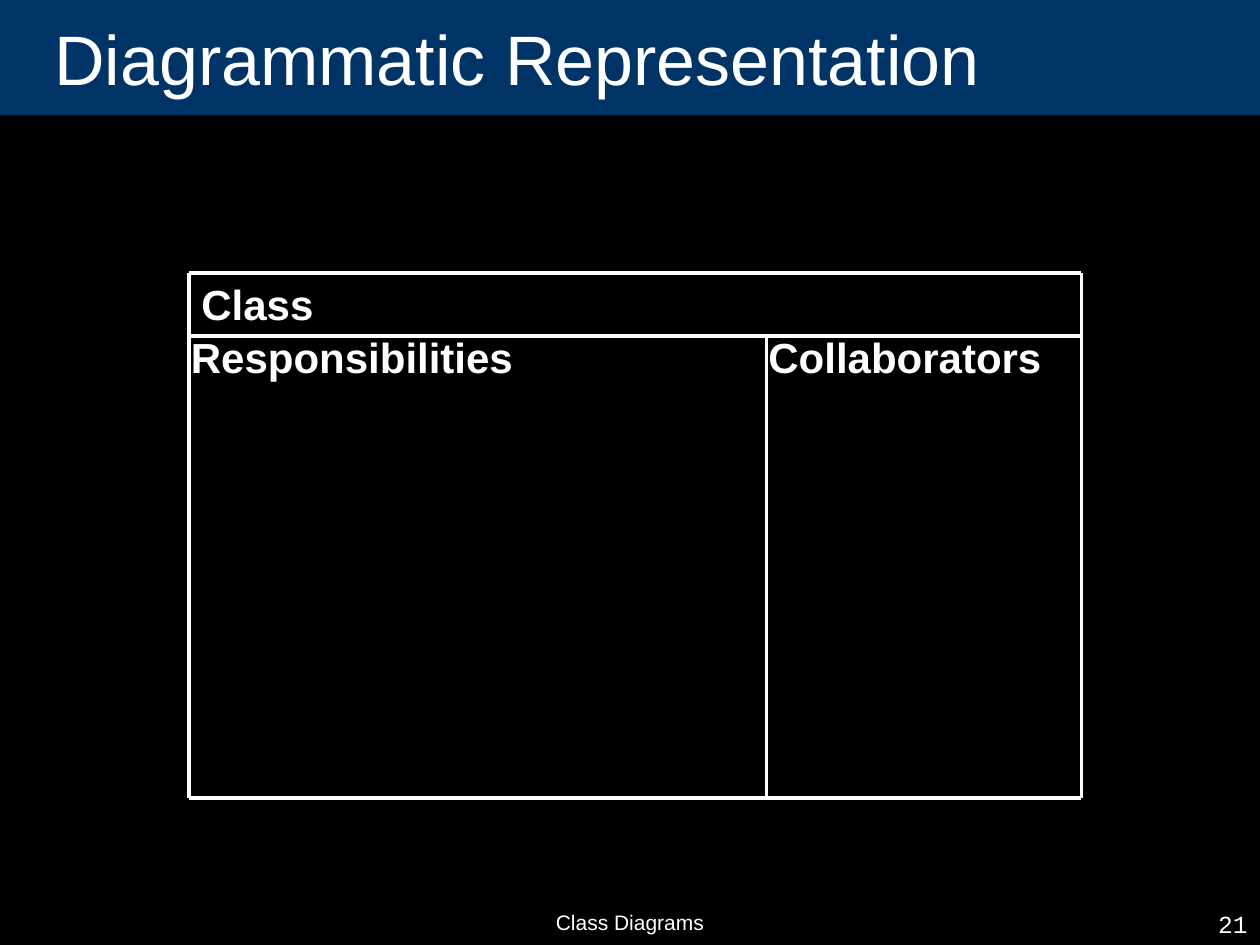
"""Build a slide showing the layout of a class, responsibilities and collaborators card."""
import dataclasses

import lxml.etree
import pptx
import pptx.dml.color
import pptx.enum.shapes
import pptx.enum.text
import pptx.oxml.ns
import pptx.slide
import pptx.util

Align = pptx.enum.text.PP_ALIGN
Anchor = pptx.enum.text.MSO_ANCHOR
WHITE = "FFFFFF"
BLACK = "000000"
NAVY = "003366"
SLIDE_WIDTH, SLIDE_HEIGHT = 720, 540
BANNER_HEIGHT = 66
CARD_LEFT, CARD_DIVIDER, CARD_RIGHT = 108, 438, 618
CARD_TOP, CARD_HEADER, CARD_BOTTOM = 156, 192, 456


@dataclasses.dataclass(frozen=True)
class Label:
    text: str
    left: float
    top: float
    width: float
    height: float
    size: float
    font: str = "Arial"
    bold: bool = False
    wrap: bool = True
    align: Align = Align.LEFT
    anchor: Anchor = Anchor.TOP


@dataclasses.dataclass(frozen=True)
class Rule:
    start_x: float
    start_y: float
    end_x: float
    end_y: float


TITLE = Label("Diagrammatic Representation", 24, 0, 642, BANNER_HEIGHT, 40, anchor=Anchor.MIDDLE)
FOOTERS = [
    Label("Class Diagrams", 246, 516, 228, 24, 12, align=Align.CENTER),
    Label("21", 570, 516, 150, 24, 14, font="Courier New", align=Align.RIGHT),
]
HEADINGS = [
    Label(text, left, top, width, 36, 24, bold=True, wrap=False)
    for text, left, top, width in [
        ("Class", 108, 155.5, 78.5),
        ("Responsibilities", 102, 186, 198.5),
        ("Collaborators", 432, 186, 170.5),
    ]
]
RULES = [
    *(Rule(CARD_LEFT, y, CARD_RIGHT, y) for y in (CARD_TOP, CARD_HEADER, CARD_BOTTOM)),
    Rule(CARD_LEFT, CARD_HEADER, CARD_LEFT, CARD_TOP),
    Rule(CARD_LEFT, CARD_HEADER, CARD_LEFT, CARD_BOTTOM),
    Rule(CARD_DIVIDER, CARD_HEADER, CARD_DIVIDER, CARD_BOTTOM),
    Rule(CARD_RIGHT, CARD_TOP, CARD_RIGHT, CARD_BOTTOM),
]


def color(value: str) -> pptx.dml.color.RGBColor:
    return pptx.dml.color.RGBColor.from_string(value)


def add_banner(slide: pptx.slide.Slide) -> None:
    banner = slide.shapes.add_shape(
        pptx.enum.shapes.MSO_SHAPE.RECTANGLE,
        0, 0, pptx.util.Pt(SLIDE_WIDTH), pptx.util.Pt(BANNER_HEIGHT),
    )
    banner.shadow.inherit = False
    banner.fill.solid()
    banner.fill.fore_color.rgb = color(NAVY)
    banner.line.fill.background()


def add_label(slide: pptx.slide.Slide, label: Label) -> None:
    box = slide.shapes.add_textbox(
        pptx.util.Pt(label.left), pptx.util.Pt(label.top),
        pptx.util.Pt(label.width), pptx.util.Pt(label.height),
    )
    text_frame = box.text_frame
    text_frame.text = label.text
    text_frame.word_wrap = label.wrap
    text_frame.vertical_anchor = label.anchor
    paragraph = text_frame.paragraphs[0]
    paragraph.alignment = label.align
    font = paragraph.runs[0].font
    font.name = label.font
    font.size = pptx.util.Pt(label.size)
    font.bold = label.bold
    font.color.rgb = color(WHITE)


def add_rule(slide: pptx.slide.Slide, rule: Rule) -> None:
    connector = slide.shapes.add_connector(
        pptx.enum.shapes.MSO_CONNECTOR.STRAIGHT,
        pptx.util.Pt(rule.start_x), pptx.util.Pt(rule.start_y),
        pptx.util.Pt(rule.end_x), pptx.util.Pt(rule.end_y),
    )
    connector.line.color.rgb = color(WHITE)
    connector.line.width = pptx.util.Pt(2)
    lxml.etree.SubElement(connector._element.spPr, pptx.oxml.ns.qn("a:effectLst"))


def main() -> None:
    presentation = pptx.Presentation()
    presentation.slide_width = pptx.util.Pt(SLIDE_WIDTH)
    presentation.slide_height = pptx.util.Pt(SLIDE_HEIGHT)
    slide = presentation.slides.add_slide(presentation.slide_layouts[6])
    slide.background.fill.solid()
    slide.background.fill.fore_color.rgb = color(BLACK)
    add_banner(slide)
    for label in [*FOOTERS, TITLE, *HEADINGS]:
        add_label(slide, label)
    for rule in RULES:
        add_rule(slide, rule)
    presentation.save("out.pptx")


main()
